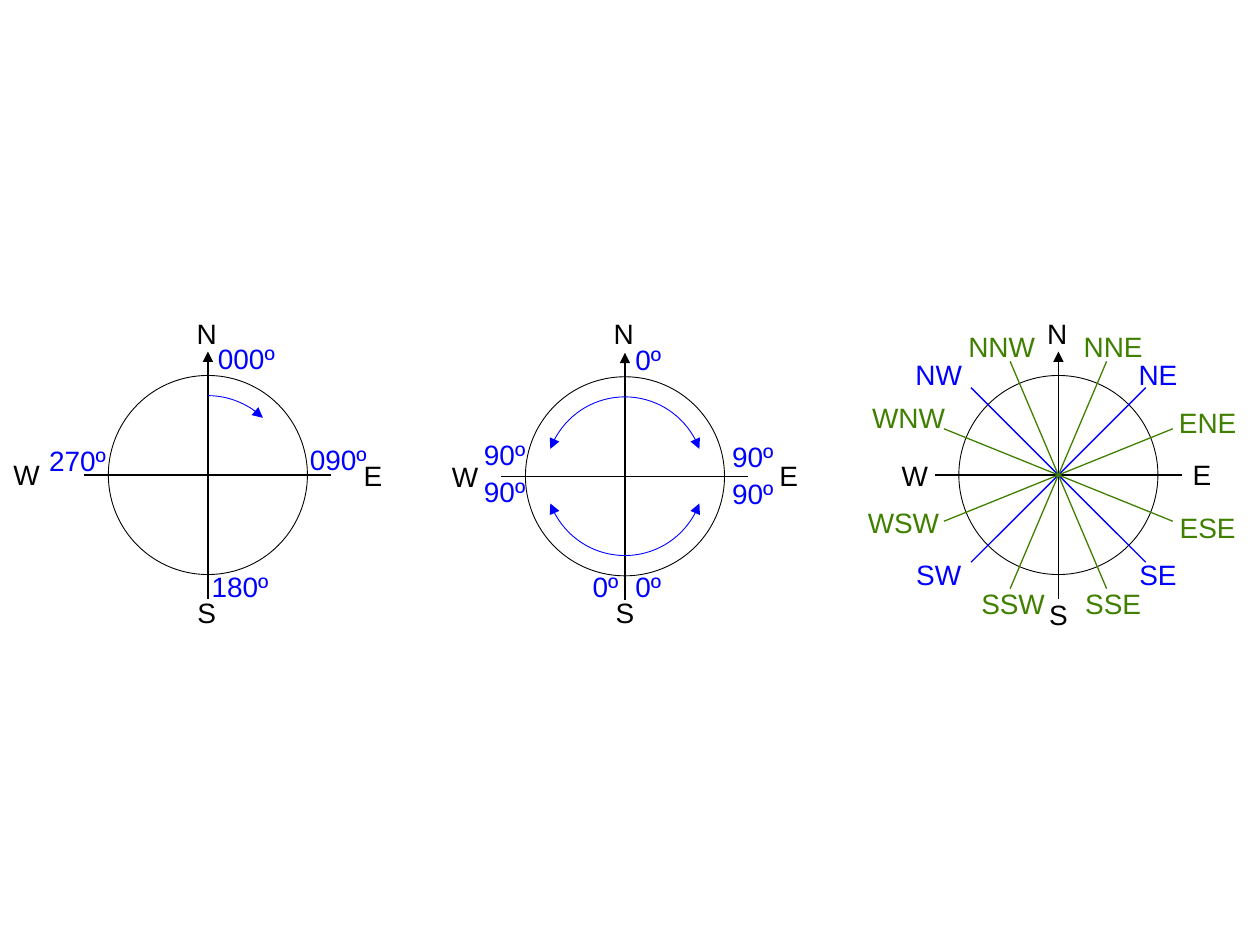
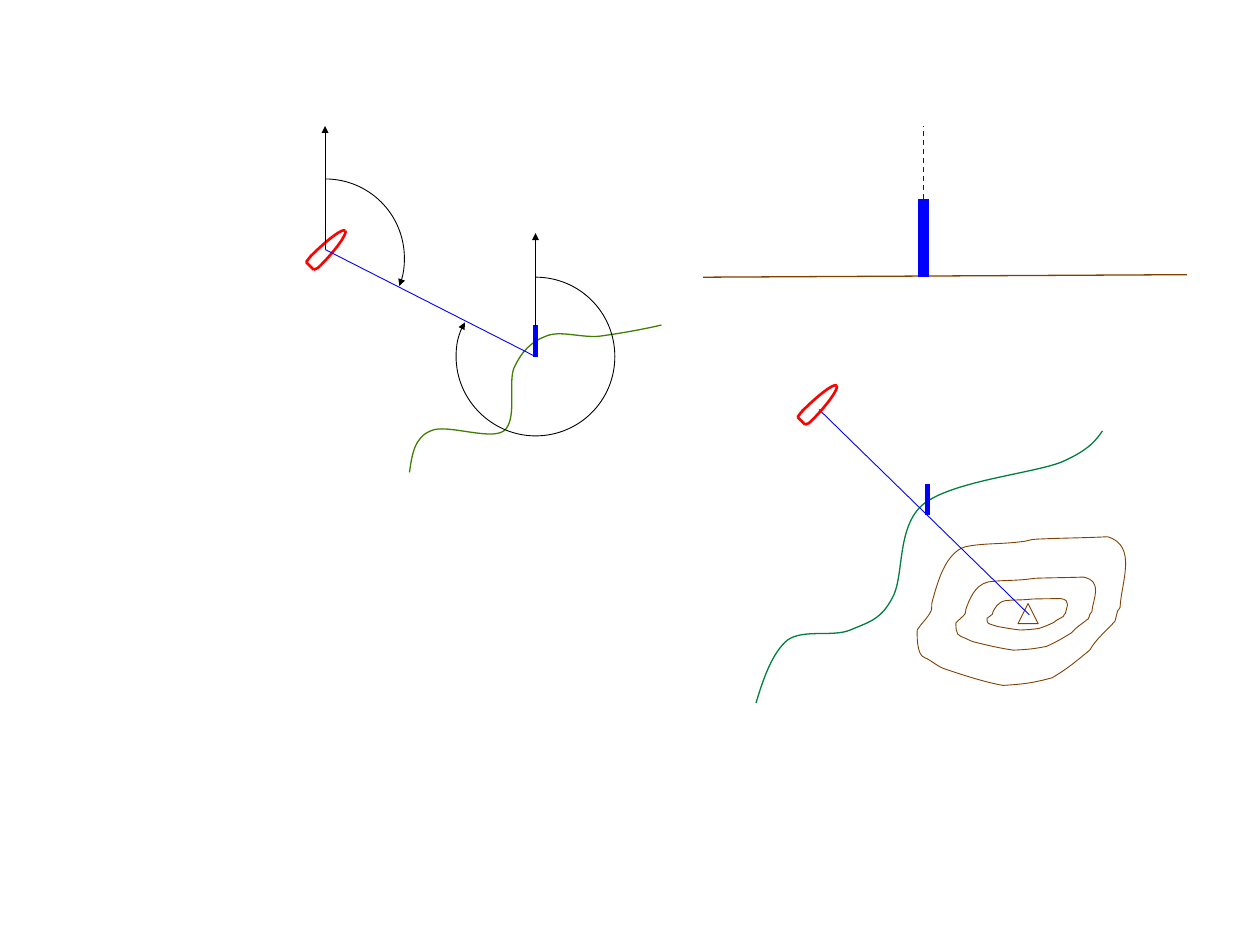
from dataclasses import dataclass
from math import cos, radians, sin

from lxml import etree
from pptx import Presentation
from pptx import util as u
from pptx.dml.color import RGBColor
from pptx.enum import dml, shapes, text
from pptx.oxml.ns import qn


@dataclass(frozen=True)
class Theme:
    black: str = "000000"
    blue: str = "0000FF"
    red: str = "FF0000"
    green: str = "408000"
    sea_green: str = "008040"
    brown: str = "804000"
    font: str = "Arial"
    label_size: float = 16
    thin: float = 0.5
    normal: float = 0.75
    hull: float = 1.5
    mark: float = 3
    tower: float = 6


THEME = Theme()

# ---- Compass content: labels are (text, left, top), grouped by box width ----
RADIUS, ARC_RADIUS, AXIS = 0.79, 0.63, 0.98
LABEL_HEIGHT = 0.37
ARC_START = 162  # due north, in the units of the arc's adjustments

COMPASSES = [
    {   # full-circle bearings
        "centre": (1.65, 3.77), "arc_end": 188.38, "flips": [""], "spokes": [],
        "labels": [
            (THEME.black, 0.58, [("N", 1.35, 2.46), ("S", 1.35, 4.68),
                                 ("E", 2.67, 3.59), ("W", -0.08, 3.58)]),
            (THEME.blue, 0.67, [("090º", 2.35, 3.46), ("180º", 1.57, 4.47),
                                ("270º", 0.28, 3.47), ("000º", 1.62, 2.66)])],
    },
    {   # quadrant bearings
        "centre": (4.96, 3.78), "arc_end": 203.94,
        "flips": ["", "H", "HV", "V"], "spokes": [],
        "labels": [
            (THEME.black, 0.58, [("N", 4.66, 2.46), ("S", 4.67, 4.68),
                                 ("E", 5.97, 3.59), ("W", 3.4, 3.6)]),
            (THEME.blue, 0.67, [("90º", 5.64, 3.44), ("0º", 4.81, 4.47),
                                ("90º", 3.67, 3.42), ("0º", 4.81, 2.67),
                                ("90º", 5.64, 3.73), ("90º", 3.67, 3.72),
                                ("0º", 4.47, 4.47)])],
    },
    {   # compass points
        "centre": (8.4, 3.77), "arc_end": None, "flips": [],
        "spokes": [(THEME.blue, [45, -45]),
                   (THEME.green, [68, -68, 23, -23])],
        "labels": [
            (THEME.black, 0.58, [("N", 8.1, 2.46), ("S", 8.11, 4.69),
                                 ("E", 9.25, 3.58), ("W", 6.97, 3.59)]),
            (THEME.blue, 0.58, [("NE", 8.9, 2.79), ("SE", 8.9, 4.38),
                                ("SW", 7.16, 4.38), ("NW", 7.16, 2.79)]),
            (THEME.green, 0.67, [("NNE", 8.5, 2.57), ("ENE", 9.25, 3.17),
                                 ("ESE", 9.25, 4), ("SSE", 8.5, 4.61)]),
            (THEME.green, 0.74, [("NNW", 7.58, 2.57)]),
            (THEME.green, 0.92, [("SSW", 7.58, 4.61), ("WSW", 6.71, 3.96),
                                 ("WNW", 6.75, 3.13)])],
    },
]

# ---- Curves: a start point, then three points for each cubic Bezier ----
HULL_TILT = 45
TRANSOM = [(0, 0.25), (0.06, 0.31)]
HULL = [
    [(0.03, 0.2), (0.03, 0.2), (0.04, 0.2), (0.04, 0.2),
     (0.17, 0.07), (0.29, -0.02), (0.31, 0)],
    [(0.04, 0.2), (0.02, 0.22), (0.01, 0.24), (0, 0.25)],
    [(0.11, 0.28), (0.11, 0.28), (0.11, 0.28), (0.11, 0.28),
     (0.24, 0.15), (0.33, 0.02), (0.31, 0)],
    [(0.11, 0.28), (0.1, 0.29), (0.08, 0.31), (0.06, 0.31)]]
BEARING_COAST = [
    (3.25, 3.75), (3.27, 3.61), (3.29, 3.47), (3.42, 3.42),
    (3.54, 3.36), (3.89, 3.5), (4, 3.42),
    (4.11, 3.33), (4.03, 3.04), (4.08, 2.92),
    (4.14, 2.79), (4.22, 2.71), (4.33, 2.67),
    (4.44, 2.62), (4.6, 2.68), (4.75, 2.67),
    (4.9, 2.65), (5.08, 2.62), (5.25, 2.58)]
SHIP_BEARING = [
    (2.58, 1.42), (2.93, 1.42), (3.21, 1.7), (3.21, 2.05),
    (3.21, 2.12), (3.2, 2.2), (3.17, 2.27)]
MARK_BEARING = [
    (4.25, 2.2), (4.6, 2.2), (4.88, 2.48), (4.88, 2.83),
    (4.88, 3.18), (4.6, 3.46), (4.25, 3.46),
    (3.91, 3.46), (3.62, 3.18), (3.62, 2.83),
    (3.62, 2.74), (3.64, 2.64), (3.69, 2.56)]
TRANSIT_COAST = [
    (6, 5.58), (6.06, 5.38), (6.13, 5.18), (6.25, 5.08),
    (6.38, 4.99), (6.61, 5.06), (6.75, 5),
    (6.89, 4.94), (6.99, 4.92), (7.08, 4.75),
    (7.18, 4.58), (7.11, 4.18), (7.33, 4),
    (7.56, 3.82), (8.18, 3.76), (8.42, 3.67),
    (8.65, 3.57), (8.7, 3.49), (8.75, 3.42)]
HILL = [
    (8.1, 4.3), (7.95, 4.32), (7.8, 4.31), (7.66, 4.34),
    (7.5, 4.39), (7.44, 4.63), (7.4, 4.77),
    (7.39, 4.8), (7.4, 4.83), (7.39, 4.85),
    (7.36, 4.91), (7.31, 4.95), (7.28, 5),
    (7.28, 5.02), (7.27, 5.2), (7.34, 5.22),
    (7.39, 5.24), (7.44, 5.29), (7.5, 5.31),
    (7.65, 5.36), (7.8, 5.41), (7.96, 5.44),
    (8.13, 5.43), (8.2, 5.42), (8.35, 5.38),
    (8.47, 5.31), (8.54, 5.25), (8.65, 5.16),
    (8.7, 5.07), (8.78, 5.01), (8.85, 4.93),
    (8.86, 4.9), (8.86, 4.88), (8.87, 4.85),
    (8.88, 4.84), (8.89, 4.82), (8.89, 4.82),
    (8.9, 4.62), (9.03, 4.33), (8.79, 4.26),
    (8.6, 4.27), (8.41, 4.27), (8.22, 4.28),
    (8.18, 4.28), (8.14, 4.3), (8.1, 4.3)]
# Left, top, width and height of each contour; the first is the hill itself
CONTOURS = [(7.27, 4.26, 1.76, 1.18), (7.58, 4.58, 1.18, 0.58),
            (7.83, 4.75, 0.68, 0.25)]


# ---- Drawing helpers ----
def style_line(shape, colour, width, arrow=None, dash=False):
    shape.line.color.rgb = RGBColor.from_string(colour)
    shape.line.width = u.Pt(width)
    if dash:
        shape.line.dash_style = dml.MSO_LINE.DASH
    line = shape._element.spPr.find(qn("a:ln"))
    etree.SubElement(line, qn("a:round"))
    if arrow:
        etree.SubElement(line, qn("a:tailEnd"), type="triangle",
                         w=arrow, len=arrow)


def add_line(group, start, end, colour, width, **options):
    line = group.shapes.add_connector(
        shapes.MSO_CONNECTOR.STRAIGHT, *map(u.Inches, (*start, *end)))
    style_line(line, colour, width, **options)
    etree.SubElement(line._element.spPr, qn("a:effectLst"))
    line._element.remove(line._element.find(qn("p:style")))


def style_outline(shape, colour, width, **options):
    shape.shadow.inherit = False
    shape.fill.background()
    style_line(shape, colour, width, **options)


def add_outline(group, kind, box, colour, width, **options):
    shape = group.shapes.add_shape(kind, *map(u.Inches, box))
    style_outline(shape, colour, width, **options)
    return shape


def add_label(group, label, left, top, width, colour):
    box = group.shapes.add_textbox(
        *map(u.Inches, (left, top, width, LABEL_HEIGHT)))
    frame = box.text_frame
    frame.word_wrap = True
    frame.auto_size = text.MSO_AUTO_SIZE.SHAPE_TO_FIT_TEXT
    frame.margin_left = frame.margin_right = 0
    paragraph = frame.paragraphs[0]
    paragraph.text = label
    paragraph.alignment = text.PP_ALIGN.CENTER
    paragraph.font.name = THEME.font
    paragraph.font.size = u.Pt(THEME.label_size)
    paragraph.font.color.rgb = RGBColor.from_string(colour)


def add_curve(group, points, colour, width, close=False, **options):
    start, *others = [(u.Inches(x), u.Inches(y)) for x, y in points]
    builder = group.shapes.build_freeform(*start)
    builder.add_line_segments(others, close=close)
    shape = builder.convert_to_shape()
    # Turn every three straight segments into one cubic curve
    outline = shape._element.spPr.find(".//" + qn("a:path"))
    segments = outline.findall(qn("a:lnTo"))
    for first in range(0, len(segments), 3):
        curve = etree.Element(qn("a:cubicBezTo"))
        segments[first].addprevious(curve)
        for segment in segments[first:first + 3]:
            curve.append(segment[0])
            outline.remove(segment)
    style_outline(shape, colour, width, **options)
    return shape


def turn(x, y, degrees):
    angle = radians(degrees)
    return (x * cos(angle) - y * sin(angle), x * sin(angle) + y * cos(angle))


def add_boat(group, left, top):
    add_line(group, *[(left + x, top + y) for x, y in TRANSOM],
             THEME.red, THEME.hull)
    for side in HULL:
        # Drawn level, then tilted about its own middle
        level = [turn(left + x, top + y, HULL_TILT) for x, y in side]
        shape = add_curve(group, level, THEME.red, THEME.hull)
        x, y = turn(shape.left + shape.width / 2,
                    shape.top + shape.height / 2, -HULL_TILT)
        shape.left = u.Emu(round(x - shape.width / 2))
        shape.top = u.Emu(round(y - shape.height / 2))
        shape.rotation = 360 - HULL_TILT


def circle_box(x, y, radius):
    return x - radius, y - radius, 2 * radius, 2 * radius


def add_compass(slide, compass):
    group = slide.shapes.add_group_shape()
    x, y = compass["centre"]

    # Axes and circle
    add_line(group, (x, y + AXIS), (x, y - AXIS), THEME.black, THEME.normal,
             arrow="med")
    add_line(group, (x - AXIS, y), (x + AXIS, y), THEME.black, THEME.normal)
    add_outline(group, shapes.MSO_SHAPE.OVAL, circle_box(x, y, RADIUS),
                THEME.black, THEME.thin)

    # Direction arcs
    for flip in compass["flips"]:
        arc = add_outline(group, shapes.MSO_SHAPE.ARC,
                          circle_box(x, y, ARC_RADIUS),
                          THEME.blue, THEME.thin, arrow="med")
        arc.adjustments[0] = ARC_START
        arc.adjustments[1] = compass["arc_end"]
        for axis in flip:
            arc._element.spPr.find(qn("a:xfrm")).set("flip" + axis, "1")

    # Spokes between the axes
    for colour, azimuths in compass["spokes"]:
        for azimuth in azimuths:
            dx, dy = turn(0, -AXIS, azimuth)
            add_line(group, (x + dx, y + dy), (x - dx, y - dy), colour,
                     THEME.normal)

    for colour, width, labels in compass["labels"]:
        for label, left, top in labels:
            add_label(group, label, left, top, width, colour)


presentation = Presentation()
presentation.slide_width, presentation.slide_height = u.Inches(10), u.Inches(7.5)
compass_slide, bearing_slide = [
    presentation.slides.add_slide(presentation.slide_layouts[6])
    for _ in range(2)]

# ---- Slide 1: three ways to give a direction ----
for compass in COMPASSES:
    add_compass(compass_slide, compass)

# ---- Slide 2: bearing between a boat and a mark ----
bearing = bearing_slide.shapes.add_group_shape()
ship, mark = (2.58, 1.98), (4.25, 2.83)
add_boat(bearing, 2.43, 1.83)
add_curve(bearing, BEARING_COAST, THEME.green, THEME.normal)
add_line(bearing, mark, (4.25, 2.58), THEME.blue, THEME.mark)
add_line(bearing, ship, mark, THEME.blue, THEME.thin)
for (x, y), angle in [(ship, SHIP_BEARING), (mark, MARK_BEARING)]:
    add_line(bearing, (x, y), (x, y - AXIS), THEME.black, THEME.thin,
             arrow="sm")
    add_curve(bearing, angle, THEME.black, THEME.thin, arrow="sm")

# Transit line from the boat over the mark to the summit
transit = bearing_slide.shapes.add_group_shape()
add_curve(transit, TRANSIT_COAST, THEME.sea_green, THEME.normal)
add_line(transit, (7.36, 4.09), (7.36, 3.84), THEME.blue, THEME.mark)
hill_left, hill_top, hill_width, hill_height = CONTOURS[0]
for left, top, width, height in CONTOURS:
    contour = [(left + (x - hill_left) * width / hill_width,
                top + (y - hill_top) * height / hill_height)
               for x, y in HILL]
    add_curve(transit, contour, THEME.brown, THEME.thin, close=True)
add_outline(transit, shapes.MSO_SHAPE.ISOSCELES_TRIANGLE,
            (8.08, 4.79, 0.16, 0.16), THEME.brown, THEME.thin)
add_line(transit, (6.5, 3.25), (8.17, 4.88), THEME.blue, THEME.thin)
add_boat(transit, 6.33, 3.06)

# Mark on the horizon, seen from the boat
horizon = bearing_slide.shapes.add_group_shape()
add_line(horizon, (5.58, 2.2), (9.42, 2.18), THEME.brown, THEME.normal)
add_line(horizon, (7.33, 2.2), (7.33, 1.58), THEME.blue, THEME.tower)
add_line(horizon, (7.33, 1.58), (7.33, 1), THEME.blue, THEME.normal, dash=True)

presentation.save("out.pptx")
